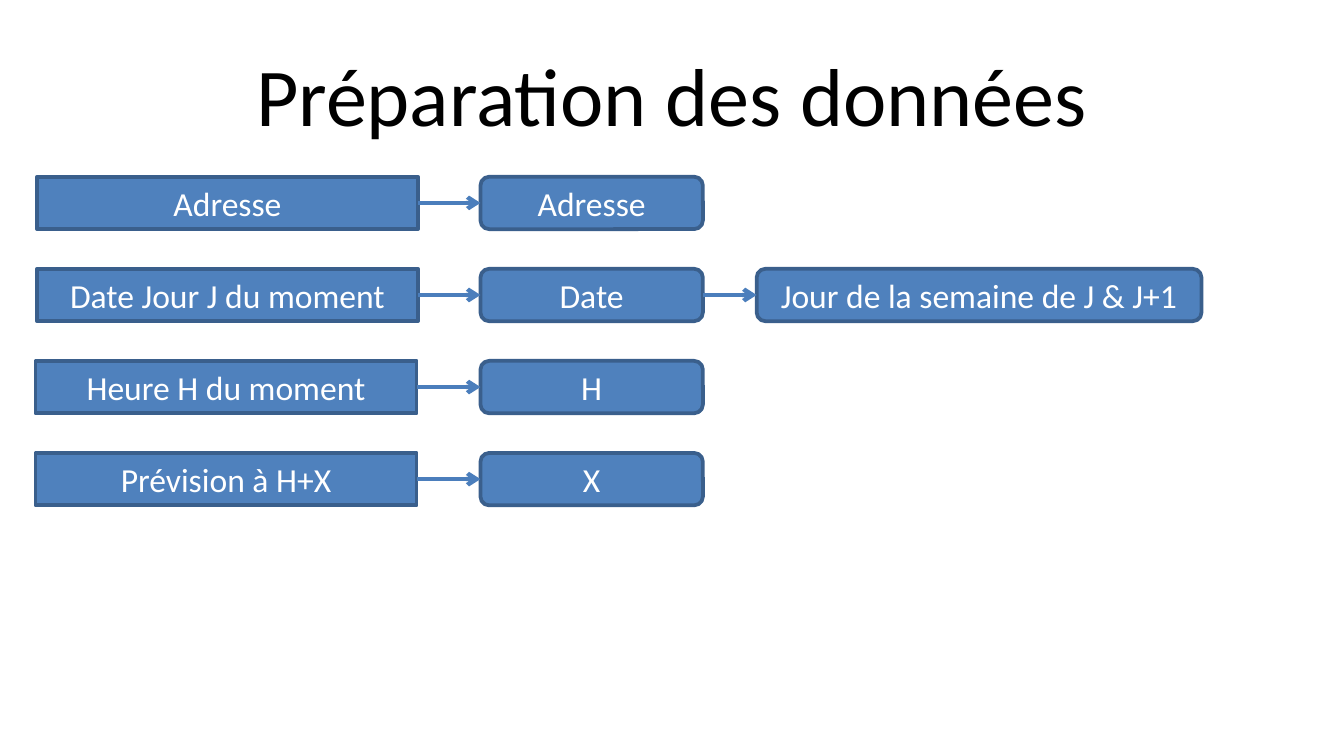
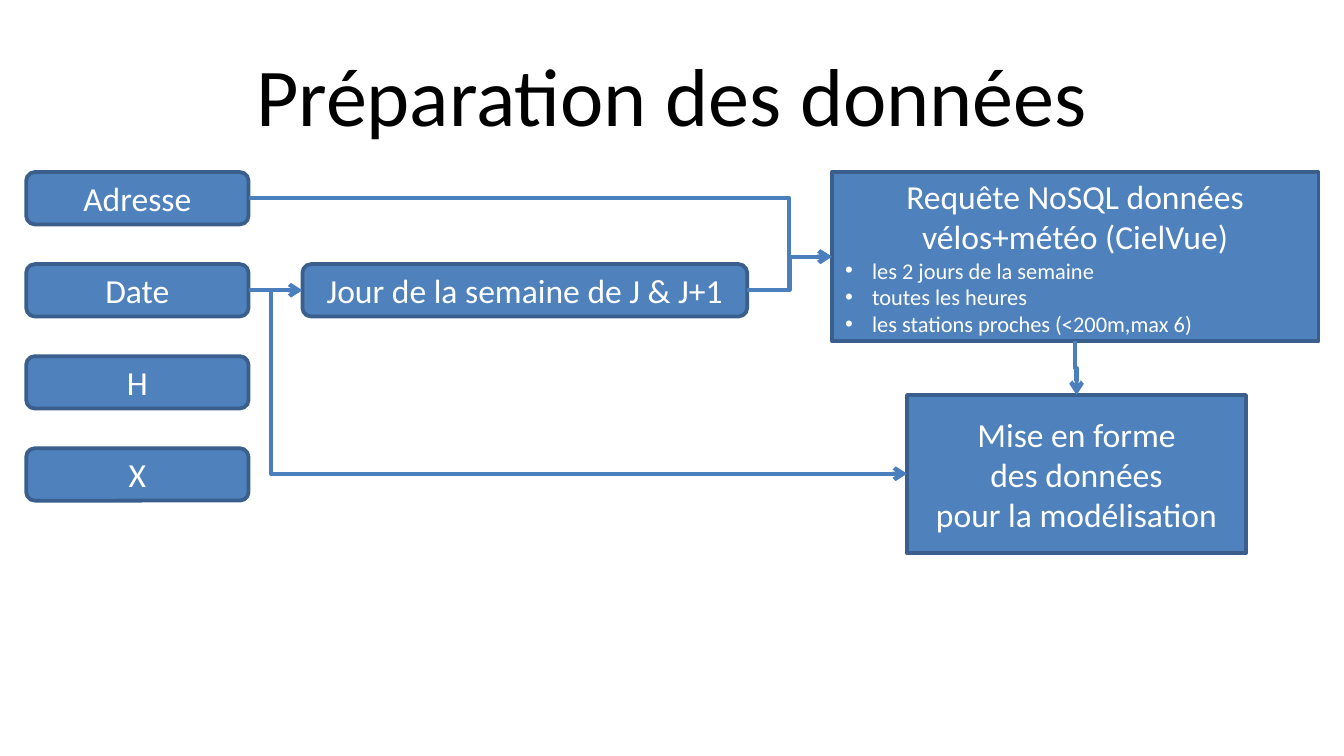
from dataclasses import dataclass
from typing import Any

from lxml.etree import SubElement
from pptx import Presentation
from pptx.dml.color import RGBColor
from pptx.enum.shapes import MSO_CONNECTOR as Route, MSO_SHAPE as Preset
from pptx.enum.text import MSO_ANCHOR as Anchor, PP_ALIGN as Align
from pptx.oxml.ns import qn
from pptx.util import Pt

PX = 4572
SLIDE_WIDTH, SLIDE_HEIGHT = 2000, 1125
ROW_STEP, ROW_HEIGHT = 137, 78
SOURCE_WIDTH, FIELD_WIDTH, WEEKDAY_WIDTH = 567, 331, 662
BULLET_INDENT = 40
LEFT, RIGHT = 1, 3

COLORS = {"title": "000000", "box": "4F81BD", "border": "3A5F8C",
          "arrow": "4B7EBC", "label": "FFFFFF"}
FRAME = {"word_wrap": True, "vertical_anchor": Anchor.MIDDLE}
TITLE_FONT = {"name": "Calibri", "size": Pt(44)}
LABEL_FONT = {"name": "Calibri", "size": Pt(18)}
BULLET_FONT = {"name": "Calibri", "size": Pt(12)}

TITLE = "Préparation des données"
WEEKDAYS = "Jour de la semaine de J & J+1"
FIELDS = ("Adresse", "Date", "H", "X")
SOURCES = (("Adresse", 55), ("Date Jour J du moment", 55),
           ("Heure H du moment", 53), ("Prévision à H+X", 53))


@dataclass(frozen=True)
class Box:
    """A labelled box of the flow, with optional bullets."""
    labels: tuple[str, ...]
    left: int
    top: int
    width: int
    height: int = ROW_HEIGHT
    rounded: bool = True
    bullets: tuple[str, ...] = ()
    border: float = 2


@dataclass(frozen=True)
class Elbow:
    """A bent arrow whose turn lies at a share of its run."""
    start: tuple[int, int]
    end: tuple[int, int]
    turn: float = 0.5
    vertical: bool = False


def px(length: float) -> int:
    """Turn px into EMU."""
    return round(length * PX)


def color(key: str) -> RGBColor:
    """Look up a colour of the palette."""
    return RGBColor.from_string(COLORS[key])


def apply(target: Any, formats: dict[str, Any]) -> None:
    """Set each format value on the target."""
    for attribute, value in formats.items():
        setattr(target, attribute, value)


def write(frame: Any, lines: tuple[str, ...], font: dict[str, Any], ink: str,
          bulleted: bool = False) -> None:
    """Write lines as centred or bulleted paragraphs."""
    apply(frame, FRAME)
    for line in lines:
        first = frame.paragraphs[0]
        paragraph = frame.add_paragraph() if first.runs else first
        paragraph.text = line
        paragraph.alignment = Align.LEFT if bulleted else Align.CENTER
        for run in paragraph.runs:
            apply(run.font, font)
            run.font.color.rgb = color(ink)
        if bulleted:
            properties = paragraph._p.get_or_add_pPr()
            properties.set("marL", str(px(BULLET_INDENT)))
            properties.set("indent", str(-px(BULLET_INDENT)))
            SubElement(properties, qn("a:buFont"), typeface="Arial")
            SubElement(properties, qn("a:buChar"), char="•")


def draw_box(slide: Any, box: Box) -> Any:
    """Draw a box with its text."""
    preset = Preset.ROUNDED_RECTANGLE if box.rounded else Preset.RECTANGLE
    shape = slide.shapes.add_shape(
        preset, *map(px, (box.left, box.top, box.width, box.height)))
    shape.shadow.inherit = False
    shape.fill.solid()
    shape.fill.fore_color.rgb = color("box")
    shape.line.color.rgb = color("border")
    shape.line.width = Pt(box.border)
    write(shape.text_frame, box.labels, LABEL_FONT, "label")
    write(shape.text_frame, box.bullets, BULLET_FONT, "label", bulleted=True)
    return shape


def style_arrow(connector: Any) -> None:
    """Give a connector its line and arrowhead."""
    connector.line.color.rgb = color("arrow")
    connector.line.width = Pt(2.25)
    properties = connector._element.spPr
    SubElement(properties.find(qn("a:ln")), qn("a:tailEnd"), type="arrow")
    SubElement(properties, qn("a:effectLst"))


def join(slide: Any, before: Any, after: Any) -> None:
    """Join two boxes of a row with a straight arrow."""
    connector = slide.shapes.add_connector(Route.STRAIGHT, 0, 0, 0, 0)
    connector.begin_connect(before, RIGHT)
    connector.end_connect(after, LEFT)
    style_arrow(connector)


def draw_elbow(slide: Any, elbow: Elbow) -> None:
    """Draw a bent arrow, turned a quarter if it runs downwards."""
    (x1, y1), (x2, y2) = elbow.start, elbow.end
    if elbow.vertical:
        middle_x, middle_y = (x1 + x2) / 2, (y1 + y2) / 2
        half_x, half_y = (x2 - x1) / 2, (y2 - y1) / 2
        x1, y1 = middle_x + half_y, middle_y - half_x
        x2, y2 = middle_x - half_y, middle_y + half_x
    connector = slide.shapes.add_connector(
        Route.ELBOW, *map(px, (x1, y1, x2, y2)))
    properties = connector._element.spPr
    if elbow.vertical:
        properties.find(qn("a:xfrm")).set("rot", str(270 * 60000))
    guides = properties.find(qn("a:prstGeom")).find(qn("a:avLst"))
    SubElement(guides, qn("a:gd"), name="adj1",
               fmla=f"val {round(elbow.turn * 100000)}")
    style_arrow(connector)


def add_slide(deck: Any) -> Any:
    """Add a blank slide with the shared title."""
    slide = deck.slides.add_slide(deck.slide_layouts[6])
    heading = slide.shapes.add_textbox(*map(px, (100, 45, 1800, 188)))
    write(heading.text_frame, (TITLE,), TITLE_FONT, "title")
    return slide


def draw_fields(slide: Any, left: int, top: int, gap: int = 80) -> list[Any]:
    """Draw the field column and the weekdays derived from the date."""
    fields = [draw_box(slide, Box((name,), left, top + row * ROW_STEP, FIELD_WIDTH))
              for row, name in enumerate(FIELDS)]
    weekdays = draw_box(slide, Box((WEEKDAYS,), left + FIELD_WIDTH + gap,
                                   top + ROW_STEP, WEEKDAY_WIDTH))
    join(slide, fields[1], weekdays)
    return fields


def build_inputs(deck: Any) -> None:
    """Build the slide that maps inputs to fields."""
    slide = add_slide(deck)
    top = 263
    fields = draw_fields(slide, 715, top)
    for row, (name, left) in enumerate(SOURCES):
        source = draw_box(slide, Box((name,), left, top + row * ROW_STEP,
                                     SOURCE_WIDTH, rounded=False))
        join(slide, source, fields[row])


def build_query(deck: Any) -> None:
    """Build the slide that leads from fields to the shaped data."""
    slide = add_slide(deck)
    draw_fields(slide, 39, 256)
    query = Box(("Requête NoSQL données vélos+météo (CielVue)",),
                1238, 256, 724, 252, rounded=False,
                bullets=("les 2 jours de la semaine", "toutes les heures",
                         "les stations proches (<200m,max 6)"))
    shaping = Box(("Mise en forme", "des données\vpour la modélisation"),
                  1350, 588, 504, 235, rounded=False, border=2.25)
    for step in (query, shaping):
        draw_box(slide, step)
    for elbow in (Elbow((370, 295), (1238, 382), 0.927),
                  Elbow((1112, 432), (1238, 382)),
                  Elbow((370, 432), (1350, 705), 0.034),
                  Elbow((1600, 508), (1602, 588), vertical=True)):
        draw_elbow(slide, elbow)


def main() -> None:
    """Build and save the deck."""
    deck = Presentation()
    apply(deck, {"slide_width": px(SLIDE_WIDTH), "slide_height": px(SLIDE_HEIGHT)})
    build_inputs(deck)
    build_query(deck)
    deck.save("out.pptx")


if __name__ == "__main__":
    main()
